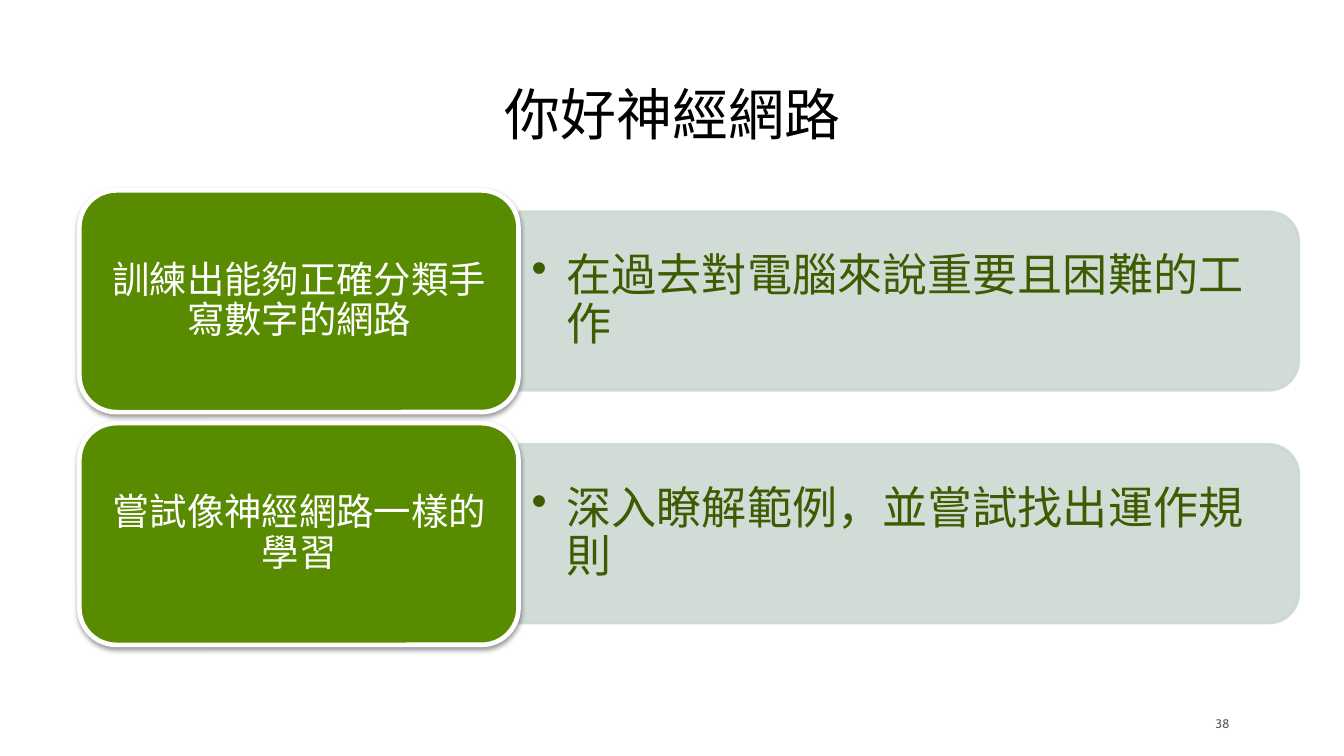
"""Build the neural network introduction slide with two topic rows."""
from dataclasses import dataclass
from typing import Any

from lxml import etree
from pptx import Presentation
from pptx.dml.color import RGBColor
from pptx.enum.shapes import MSO_SHAPE
from pptx.enum.text import MSO_ANCHOR, PP_ALIGN
from pptx.oxml.ns import qn
from pptx.util import Cm, Pt

ROUNDED = MSO_SHAPE.ROUNDED_RECTANGLE
ROUNDED_TOP = MSO_SHAPE.ROUND_2_SAME_RECTANGLE
MIDDLE, BOTTOM = MSO_ANCHOR.MIDDLE, MSO_ANCHOR.BOTTOM
LEFT, CENTER, RIGHT = PP_ALIGN.LEFT, PP_ALIGN.CENTER, PP_ALIGN.RIGHT


@dataclass(frozen=True)
class Theme:
    """Colours, font and type sizes of the slide."""
    font: str = "Cabin"
    title: str = "000000"
    card: str = "598B00"
    outline: str = "FFFFFF"
    panel: str = "CCD9D3"
    detail: str = "3B5C00"
    number: str = "5E5E5E"
    shadow: str = "000000"
    title_size: int = 36
    detail_size: int = 29
    label_size: int = 24
    number_size: int = 8


@dataclass
class SlideBuilder:
    """Draws styled elements on the current slide."""
    theme: Theme
    slide: Any

    def text(self, content, box, size, color, align=CENTER, anchor=MIDDLE,
             margins=(0.25, 0.13), bullet_indent=None):
        """Add a text box with one paragraph."""
        frame = self.slide.shapes.add_textbox(*map(Cm, box)).text_frame
        side, edge = map(Cm, margins)
        frame_format = {
            "word_wrap": True, "vertical_anchor": anchor,
            "margin_left": side, "margin_right": side,
            "margin_top": edge, "margin_bottom": edge,
        }
        paragraph = frame.paragraphs[0]
        run = paragraph.add_run()
        run.text = content
        formats = (
            (frame, frame_format),
            (paragraph, {"alignment": align, "line_spacing": 0.9}),
            (run.font, {"name": self.theme.font, "size": Pt(size)}),
            (run.font.color, {"rgb": RGBColor.from_string(color)}),
        )
        for target, values in formats:
            for attribute, value in values.items():
                setattr(target, attribute, value)
        if bullet_indent:
            properties = paragraph._p.get_or_add_pPr()
            properties.set("marL", str(Cm(bullet_indent)))
            properties.set("indent", str(-Cm(bullet_indent)))
            etree.SubElement(properties, qn("a:buChar"), char="•")

    def block(self, preset, box, fill, outline, weight, rotation=0):
        """Add a filled preset shape without a shadow."""
        shape = self.slide.shapes.add_shape(preset, *map(Cm, box))
        shape.rotation = rotation
        shape.shadow.inherit = False
        shape.fill.solid()
        shape.fill.fore_color.rgb = RGBColor.from_string(fill)
        shape.line.color.rgb = RGBColor.from_string(outline)
        shape.line.width = Pt(weight)
        return shape

    def panel(self, box):
        """Add a translucent panel rounded at its right end."""
        theme = self.theme
        panel = self.block(ROUNDED_TOP, box, theme.panel, theme.panel, 2, 90)
        for color in panel._element.spPr.iter(qn("a:srgbClr")):
            etree.SubElement(color, qn("a:alpha"), val="90000")

    def card(self, box):
        """Add a rounded card with a soft shadow below it."""
        theme = self.theme
        card = self.block(ROUNDED, box, theme.card, theme.outline, 3)
        effects = card._element.spPr.find(qn("a:effectLst"))
        shadow = etree.SubElement(
            effects, qn("a:outerShdw"), blurRad=str(Pt(3.1)),
            dist=str(Pt(1.6)), dir="5400000", rotWithShape="0")
        color = etree.SubElement(shadow, qn("a:srgbClr"), val=theme.shadow)
        etree.SubElement(color, qn("a:alpha"), val="38000")

    def topic(self, top, label, detail):
        """Add a card with its label and the detail panel beside it."""
        theme = self.theme
        self.panel((18.59, top - 6.33, 4.04, 17.68))
        self.text(detail, (11.76, top + 0.7, 17.5, 3.63), theme.detail_size,
                  theme.detail, LEFT, margins=(0.3, 0.15), bullet_indent=0.79)
        self.card((1.8, top, 9.96, 5.03))
        self.text(label, (2.06, top + 0.25, 9.45, 4.53), theme.label_size,
                  theme.outline)


def main():
    """Assemble and save the slide."""
    theme = Theme()
    deck = Presentation()
    deck.slide_width, deck.slide_height = Cm(30.48), Cm(17.15)
    builder = SlideBuilder(theme, deck.slides.add_slide(deck.slide_layouts[6]))
    builder.text("38", (27.13, 16.2, 0.76, 0.46), theme.number_size,
                 theme.number, RIGHT, margins=(0, 0))
    builder.text("你好神經網路", (1.4, 1.83, 27.7, 1.65), theme.title_size,
                 theme.title, anchor=BOTTOM)
    topics = (
        ("訓練出能夠正確分類手寫數字的網路", "在過去對電腦來說重要且困難的工作"),
        ("嘗試像神經網路一樣的學習", "深入瞭解範例，並嘗試找出運作規則"),
    )
    for row, (label, detail) in enumerate(topics):
        builder.topic(4.32 + 5.28 * row, label, detail)
    deck.save("out.pptx")


if __name__ == "__main__":
    main()
